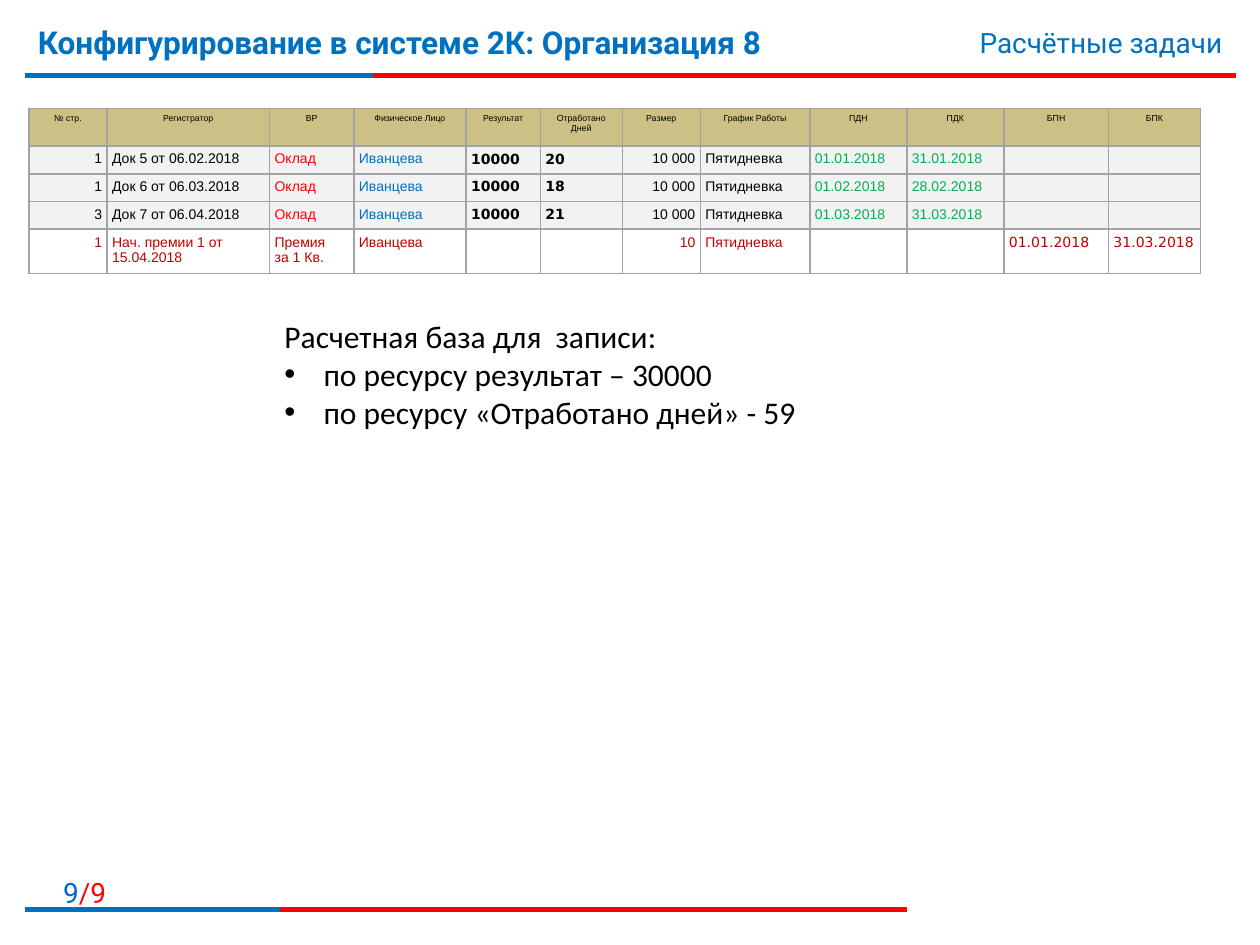
"""Build the slide on calculation tasks with a register table and its totals."""
from lxml import etree
from pptx import Presentation, util as u
from pptx.dml.color import RGBColor
from pptx.enum import shapes, text
from pptx.oxml import ns

WIDTH, HEIGHT = u.Inches(10), u.Inches(7.5)
BLUE = RGBColor(0x00, 0x70, 0xC0)
PAGE_BLUE = RGBColor(0x00, 0x66, 0xCC)
RED = RGBColor(0xFF, 0x00, 0x00)
DARK_RED = RGBColor(0xC0, 0x00, 0x00)
GREEN = RGBColor(0x00, 0xB0, 0x50)
BLACK = RGBColor(0x00, 0x00, 0x00)
WHITE = RGBColor(0xFF, 0xFF, 0xFF)
SAND = RGBColor(0xCC, 0xC0, 0x85)
PALE = RGBColor(0xF2, 0xF2, 0xF2)
GREY = RGBColor(0xA3, 0xA3, 0xA3)

HEADERS = ["№ стр.", "Регистратор", "ВР", "Физическое Лицо", "Результат", "Отработано Дней",
           "Размер", "График Работы", "ПДН", "ПДК", "БПН", "БПК"]
SALARIES = [
    ("1", "Док 5 от 06.02.2018", "20", "01.01.2018", "31.01.2018"),
    ("1", "Док 6 от 06.03.2018", "18", "01.02.2018", "28.02.2018"),
    ("3", "Док 7 от 06.04.2018", "21", "01.03.2018", "31.03.2018"),
]
BONUS = ["1", "Нач. премии 1 от\v15.04.2018", "Премия\vза 1 Кв.", "Иванцева", "", "",
         "10", "Пятидневка", "", "", "01.01.2018", "31.03.2018"]
COLUMN_SHARES = [6.2, 12.9, 6.7, 8.9, 5.9, 6.5, 6.2, 8.7, 7.7, 7.7, 8.3, 7.3]
ROW_SHARES = [4, 2.93, 2.93, 2.93, 4.67]
SALARY_COLORS = {2: RED, 3: BLUE, 8: GREEN, 9: GREEN}
NUMBER_COLUMNS = (0, 6)
RESOURCE_COLUMNS = (4, 5)
BASE_COLUMNS = (10, 11)


def across(percent):
    """Return a share of the slide's width."""
    return round(WIDTH * percent / 100)


def down(percent):
    """Return a share of the slide's height."""
    return round(HEIGHT * percent / 100)


def place(left, top, width, height):
    """Return a box given in percent of the slide."""
    return across(left), down(top), across(width), down(height)


def set_font(font, name, size, color, bold=False):
    """Set all the font properties in use."""
    font.name, font.size, font.bold = name, u.Pt(size), bold
    font.color.rgb = color


def add_rule(slide, top, blue_end, red_end):
    """Draw a red line with a blue start over it."""
    for end, color in ((red_end, RED), (blue_end, BLUE)):
        line = slide.shapes.add_connector(shapes.MSO_CONNECTOR.STRAIGHT,
                                          across(2), down(top), across(end), down(top))
        line.line.color.rgb = color
        line.line.width = u.Pt(3)
        etree.SubElement(line._element.spPr, ns.qn("a:effectLst"))


def set_title(slide, wording):
    """Move and format the title placeholder."""
    title = slide.shapes.title
    title.left, title.top, title.width, title.height = place(2, 1.73, 74, 8.27)
    frame = title.text_frame
    frame.text = wording
    frame.vertical_anchor = text.MSO_ANCHOR.TOP
    paragraph = frame.paragraphs[0]
    paragraph.alignment = text.PP_ALIGN.LEFT
    set_font(paragraph.font, "Roboto", 18, BLUE, True)


def add_label(slide, box, parts):
    """Add a right-aligned line made of coloured parts."""
    frame = slide.shapes.add_textbox(*box).text_frame
    frame.word_wrap = True
    paragraph = frame.paragraphs[0]
    paragraph.alignment = text.PP_ALIGN.RIGHT
    for wording, color in parts:
        run = paragraph.add_run()
        run.text = wording
        set_font(run.font, "Roboto", 16, color)


def set_borders(cell):
    """Draw a thin grey border round a cell."""
    properties = cell._tc.get_or_add_tcPr()
    for side in ("a:lnL", "a:lnR", "a:lnT", "a:lnB"):
        line = etree.SubElement(properties, ns.qn(side), w=str(u.Pt(1)))
        fill = etree.SubElement(line, ns.qn("a:solidFill"))
        etree.SubElement(fill, ns.qn("a:srgbClr"), val=str(GREY))


def fill_cell(cell, wording, fill, alignment, font):
    """Write and format one cell."""
    set_borders(cell)
    cell.fill.solid()
    cell.fill.fore_color.rgb = fill
    cell.margin_left = cell.margin_right = u.Inches(0.04)
    cell.margin_top = cell.margin_bottom = u.Inches(0.04)
    paragraph = cell.text_frame.paragraphs[0]
    paragraph.alignment = alignment
    set_font(paragraph.font, *font)
    if wording:
        paragraph.text = wording
    else:
        paragraph._p.get_or_add_endParaRPr().set("sz", "800")


def cell_style(row, column, last_row):
    """Return the fill, alignment and font of a cell by its place."""
    if row == 0:
        return SAND, text.PP_ALIGN.CENTER, ("Arial", 5, BLACK)
    alignment = text.PP_ALIGN.RIGHT if column in NUMBER_COLUMNS else text.PP_ALIGN.LEFT
    if row == last_row:
        name = "DejaVu Sans" if column in BASE_COLUMNS else "Arial"
        return WHITE, alignment, (name, 8, DARK_RED)
    if column in RESOURCE_COLUMNS:
        return PALE, alignment, ("DejaVu Sans", 8, BLACK, True)
    return PALE, alignment, ("Arial", 8, SALARY_COLORS.get(column, BLACK))


def add_register(slide):
    """Add the table of register records."""
    salaries = [[number, document, "Оклад", "Иванцева", "10000", days, "10 000",
                 "Пятидневка", start, end, "", ""]
                for number, document, days, start, end in SALARIES]
    rows = [HEADERS, *salaries, BONUS]
    box = place(2.3, 11.47, sum(COLUMN_SHARES), sum(ROW_SHARES))
    table = slide.shapes.add_table(len(rows), len(HEADERS), *box).table
    table.first_row = table.horz_banding = False
    for column, share in zip(table.columns, COLUMN_SHARES):
        column.width = across(share)
    for row, share in zip(table.rows, ROW_SHARES):
        row.height = down(share)
    for row, wordings in enumerate(rows):
        for column, wording in enumerate(wordings):
            fill_cell(table.cell(row, column), wording,
                      *cell_style(row, column, len(rows) - 1))


def add_bullet(paragraph):
    """Give a paragraph a hanging bullet."""
    properties = paragraph._p.get_or_add_pPr()
    indent = u.Inches(0.31)
    properties.set("marL", str(indent))
    properties.set("indent", str(-indent))
    mark = etree.Element(ns.qn("a:buChar"), char="•")
    typeface = etree.Element(ns.qn("a:buFont"), typeface="Arial")
    properties.insert(0, mark)
    properties.insert(0, typeface)


def add_totals(slide, heading, items):
    """Add a heading with bulleted items."""
    frame = slide.shapes.add_textbox(*place(21.6, 32.93, 43.4, 13.47)).text_frame
    frame.word_wrap = False
    frame.text = "\n".join([heading, *items])
    for paragraph in frame.paragraphs:
        set_font(paragraph.font, "Calibri", 18, BLACK)
    for paragraph in frame.paragraphs[1:]:
        add_bullet(paragraph)


def main():
    """Build and save the slide."""
    presentation = Presentation()
    presentation.slide_width, presentation.slide_height = WIDTH, HEIGHT
    slide = presentation.slides.add_slide(presentation.slide_layouts[5])
    add_rule(slide, 8, 29.6, 98.1)
    add_rule(slide, 96.27, 22.2, 72)
    add_label(slide, place(0, 92, 9.4, 4.27), [("9", PAGE_BLUE), ("/9", RED)])
    set_title(slide, "Конфигурирование в системе 2К: Организация 8")
    add_label(slide, place(59.4, 2, 38.6, 4.93), [("Расчётные задачи", BLUE)])
    add_register(slide)
    add_totals(slide, "Расчетная база для  записи:",
               ["по ресурсу результат – 30000", "по ресурсу «Отработано дней» - 59"])
    presentation.save("out.pptx")


if __name__ == "__main__":
    main()
